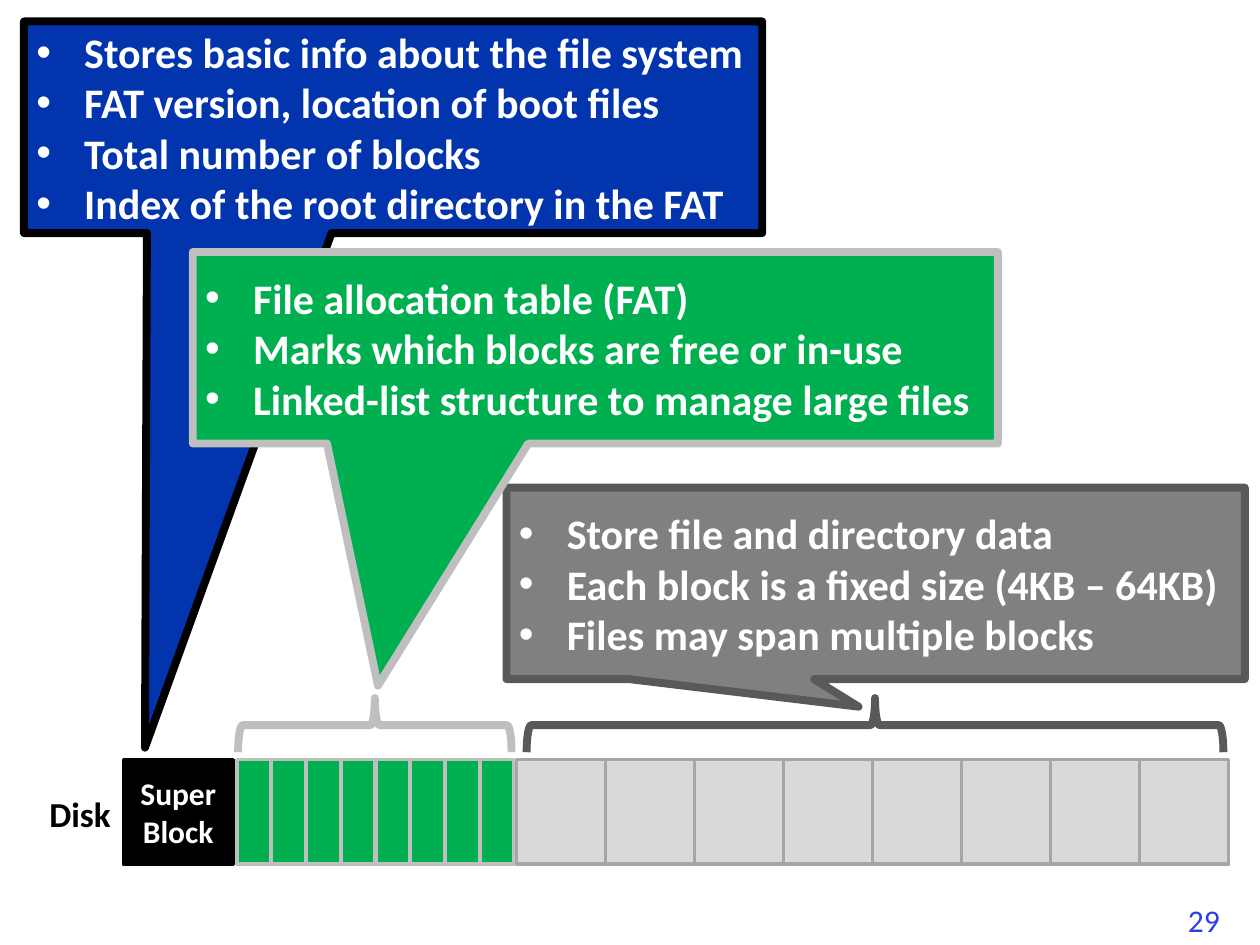
from dataclasses import dataclass

from lxml import etree
from pptx import Presentation
from pptx.dml.color import RGBColor
from pptx.enum.shapes import MSO_SHAPE
from pptx.enum.text import MSO_ANCHOR, PP_ALIGN
from pptx.oxml.ns import qn
from pptx.util import Inches, Pt

RECTANGLE = MSO_SHAPE.RECTANGLE
CALLOUT = MSO_SHAPE.RECTANGULAR_CALLOUT
BRACE = MSO_SHAPE.RIGHT_BRACE
MIDDLE = MSO_ANCHOR.MIDDLE
LEFT, CENTER = PP_ALIGN.LEFT, PP_ALIGN.CENTER

BLACK = RGBColor(0x00, 0x00, 0x00)
WHITE = RGBColor(0xFF, 0xFF, 0xFF)
BLUE = RGBColor(0x02, 0x34, 0xAD)
GREEN = RGBColor(0x00, 0xB0, 0x50)
GRAY = RGBColor(0x80, 0x80, 0x80)
DARK_GRAY = RGBColor(0x59, 0x59, 0x59)
SILVER = RGBColor(0xBF, 0xBF, 0xBF)
BLOCK_FILL = RGBColor(0xD9, 0xD9, 0xD9)
BLOCK_LINE = RGBColor(0xA6, 0xA6, 0xA6)
NUMBER_BLUE = RGBColor(0x2A, 0x40, 0xE2)

FONT = "Calibri"
INDENT = Inches(0.38)
DISK_TOP, DISK_HEIGHT = 6.03, 0.83
BRACE_TOP, BRACE_HEIGHT = 5.54, 0.43


@dataclass(frozen=True)
class Box:
    left: float
    top: float
    width: float
    height: float

    def emu(self) -> list:
        return [Inches(v) for v in (self.left, self.top, self.width, self.height)]


@dataclass(frozen=True)
class BlockRow:
    left: float
    pitch: float
    width: float
    count: int
    fill: RGBColor
    line: RGBColor


@dataclass(frozen=True)
class Note:
    box: Box
    tip: tuple[float, float]
    fill: RGBColor
    line: RGBColor
    points: tuple[str, ...]


def add_outlined(slide, kind, box: Box, fill: RGBColor | None, line: RGBColor, weight: float):
    shape = slide.shapes.add_shape(kind, *box.emu())
    shape.shadow.inherit = False
    if fill is None:
        shape.fill.background()
    else:
        shape.fill.solid()
        shape.fill.fore_color.rgb = fill
    shape.line.color.rgb = line
    shape.line.width = Pt(weight)
    return shape


def add_run(paragraph, text: str, size: int, color: RGBColor, bold: bool = True) -> None:
    run = paragraph.add_run()
    run.text = text
    run.font.name = FONT
    run.font.size = Pt(size)
    run.font.bold = bold
    run.font.color.rgb = color


def add_label(slide, box: Box, text: str, size: int, color: RGBColor, align, bold: bool) -> None:
    frame = slide.shapes.add_textbox(*box.emu()).text_frame
    frame.word_wrap = False
    paragraph = frame.paragraphs[0]
    paragraph.alignment = align
    add_run(paragraph, text, size, color, bold)


def add_bullet(paragraph) -> None:
    properties = paragraph._p.get_or_add_pPr()
    properties.set("marL", str(INDENT))
    properties.set("indent", str(-INDENT))
    etree.SubElement(properties, qn("a:buFont")).set("typeface", "Arial")
    etree.SubElement(properties, qn("a:buChar")).set("char", "•")


def add_note(slide, note: Note) -> None:
    callout = add_outlined(slide, CALLOUT, note.box, note.fill, note.line, 4.5)
    callout.adjustments[0], callout.adjustments[1] = note.tip
    frame = callout.text_frame
    frame.word_wrap = True
    frame.vertical_anchor = MIDDLE
    for index, point in enumerate(note.points):
        paragraph = frame.add_paragraph() if index else frame.paragraphs[0]
        paragraph.alignment = LEFT
        add_bullet(paragraph)
        add_run(paragraph, point, 24, WHITE)


def add_blocks(slide, row: BlockRow) -> None:
    for column in range(row.count):
        box = Box(row.left + column * row.pitch, DISK_TOP, row.width, DISK_HEIGHT)
        add_outlined(slide, RECTANGLE, box, row.fill, row.line, 2)


def add_brace(slide, left: float, span: float, color: RGBColor) -> None:
    # The brace is turned a quarter, so its unrotated box shares only the centre
    center_x, center_y = left + span / 2, BRACE_TOP + BRACE_HEIGHT / 2
    box = Box(center_x - BRACE_HEIGHT / 2, center_y - span / 2, BRACE_HEIGHT, span)
    add_outlined(slide, BRACE, box, None, color, 4.5).rotation = 270


FAT_BLOCKS = BlockRow(1.88, 0.276, 0.27, 8, GREEN, SILVER)
DATA_BLOCKS = BlockRow(4.1, 0.706, 0.71, 8, BLOCK_FILL, BLOCK_LINE)

SUPER_BLOCK_NOTE = Note(
    Box(0.19, 0.17, 5.86, 1.68), (-0.336, 2.931), BLUE, BLACK,
    ("Stores basic info about the file system",
     "FAT version, location of boot files",
     "Total number of blocks",
     "Index of the root directory in the FAT"))
DATA_NOTE = Note(
    Box(4.02, 3.87, 5.86, 1.52), (-0.023, 0.644), GRAY, DARK_GRAY,
    ("Store file and directory data",
     "Each block is a fixed size (4KB – 64KB)",
     "Files may span multiple blocks"))
FAT_NOTE = Note(
    Box(1.53, 2, 6.39, 1.52), (-0.27, 1.764), GREEN, SILVER,
    ("File allocation table (FAT)",
     "Marks which blocks are free or in-use",
     "Linked-list structure to manage large files"))


def main() -> None:
    deck = Presentation()
    deck.slide_width, deck.slide_height = Inches(10), Inches(7.5)
    slide = deck.slides.add_slide(deck.slide_layouts[6])

    # Slide number
    add_label(slide, Box(9.33, 7.1, 0.51, 0.4), "29", 18, NUMBER_BLUE, LEFT, False)

    # Disk layout
    super_block = add_outlined(slide, RECTANGLE, Box(0.98, DISK_TOP, 0.87, DISK_HEIGHT),
                               BLACK, BLACK, 2)
    super_block.text_frame.word_wrap = True
    super_block.text_frame.vertical_anchor = MIDDLE
    super_text = super_block.text_frame.paragraphs[0]
    super_text.alignment = CENTER
    add_run(super_text, "Super Block", 18, WHITE)
    add_label(slide, Box(0.29, 6.24, 0.69, 0.44), "Disk", 20, BLACK, CENTER, True)
    add_blocks(slide, FAT_BLOCKS)
    add_blocks(slide, DATA_BLOCKS)

    # Explanations, with braces over the two block ranges
    add_note(slide, SUPER_BLOCK_NOTE)
    add_brace(slide, 1.89, 2.17, SILVER)
    add_brace(slide, 4.18, 5.53, DARK_GRAY)
    add_note(slide, DATA_NOTE)
    add_note(slide, FAT_NOTE)

    deck.save("out.pptx")


if __name__ == "__main__":
    main()
